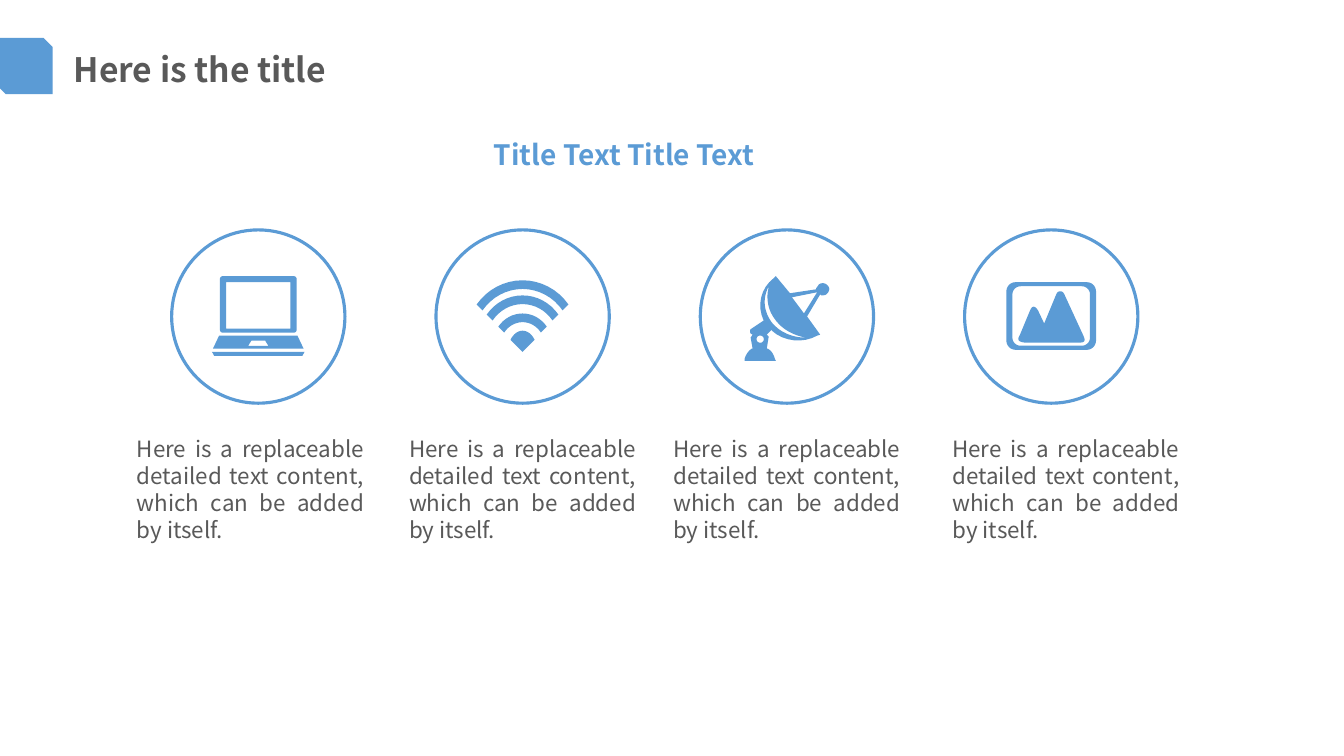
from dataclasses import dataclass

from pptx import Presentation
from pptx.dml.color import RGBColor
from pptx.enum.shapes import MSO_SHAPE as Preset
from pptx.enum.text import MSO_ANCHOR as Anchor, MSO_AUTO_SIZE as AutoSize, PP_ALIGN as Align
from pptx.util import Pt


@dataclass(frozen=True)
class Theme:
    blue: RGBColor = RGBColor(0x5B, 0x9B, 0xD5)
    grey: RGBColor = RGBColor(0x59, 0x59, 0x59)
    face: str = "Noto Sans CJK SC"
    title: int = 24
    subtitle: int = 20
    body: int = 16


theme = Theme()


def rounded(left, top, right, bottom, radius):
    """Outline of a rectangle with rounded corners."""
    k = radius * 0.45
    return [
        (left + radius, top), (right - radius, top),
        (right - k, top, right, top + k, right, top + radius),
        (right, bottom - radius),
        (right, bottom - k, right - k, bottom, right - radius, bottom),
        (left + radius, bottom),
        (left + k, bottom, left, bottom - k, left, bottom - radius),
        (left, top + radius),
        (left, top + k, left + k, top, left + radius, top),
    ]


def write(shape, text, size, color, bold=False, align=Align.LEFT, wrap=True):
    """Fill a shape with one formatted paragraph."""
    frame = shape.text_frame
    frame.text = text
    frame.word_wrap = wrap
    frame.auto_size = AutoSize.SHAPE_TO_FIT_TEXT
    frame.vertical_anchor = Anchor.TOP
    paragraph = frame.paragraphs[0]
    paragraph.alignment = align
    font = paragraph.font
    font.name, font.size, font.bold = theme.face, Pt(size), bold
    font.color.rgb = color


deck = Presentation()
deck.slide_width, deck.slide_height = Pt(960), Pt(540)
slide = deck.slides.add_slide(deck.slide_layouts[5])
shapes = slide.shapes

# Header
corner_tab = shapes.add_shape(Preset.SNIP_2_DIAG_RECTANGLE, Pt(-2.6), Pt(27), Pt(40.3), Pt(40.3))
corner_tab.shadow.inherit = False
corner_tab.fill.solid()
corner_tab.fill.fore_color.rgb = theme.blue
corner_tab.line.fill.background()

heading = shapes.title
heading.left, heading.top, heading.width, heading.height = Pt(45.4), Pt(31), Pt(200), Pt(36)
write(heading, "Here is the title", theme.title, theme.grey, bold=True, wrap=False)

subtitle = shapes.add_textbox(Pt(345.6), Pt(95), Pt(214.6), Pt(55.4))
write(subtitle, "Title Text Title Text", theme.subtitle, theme.blue, bold=True)

# Icon outlines, in points from the circle centre:
# a pair is a corner, six numbers are a curve (two controls and its end)
laptop = [
    [(28, 13.7), (-28, 13.7), (-32.4, 23), (32.4, 23)],
    [(-7.2, 20.9), (-5, 17.3), (5, 17.3), (7.2, 20.9)],
    rounded(-27.4, -28.8, 27.4, 11.5, 2),
    [(-23, -24.5), (23, -24.5), (23, 8.6), (-23, 8.6)],
    [(-33.1, 25.2), (33.1, 25.2), (31.5, 28.1), (-31.5, 28.1)],
]

wifi = []
for crest, half, end in [(-25.9, 32.8, -8.6), (-15.1, 25.6, -1.4), (-2.2, 17.3, 7.2), (10.1, 8.6, 16.6)]:
    shoulder = end - 0.62 * (end - crest)
    band = [
        (-half, end),
        (-0.77 * half, shoulder, -0.4 * half, crest, 0, crest),
        (0.4 * half, crest, 0.77 * half, shoulder, half, end),
    ]
    if half < 10:
        band.append((0, 25.2))
    else:
        inner, low, trough = half - 4.2, end + 4.2, crest + 6.2
        slope = low - 0.62 * (low - trough)
        band += [
            (inner, low),
            (0.77 * inner, slope, 0.4 * inner, trough, 0, trough),
            (-0.4 * inner, trough, -0.77 * inner, slope, -inner, low),
        ]
    wifi.append(band)

dish = [
    # Dish, feed and stand
    [(-7.9, -28.8), (2.2, -16.6), (20.9, -19.4), (20.9, -20.2),
     (21.6, -20.9, 22.3, -22.3, 23, -23), (25.2, -24.5, 28.1, -23.8, 29.5, -21.6),
     (31, -20.2, 30.2, -17.3, 28.1, -15.8), (27.4, -15.1, 25.9, -15.1, 24.5, -15.1),
     (23.8, -15.8), (14.4, 0), (23.8, 13), (21.6, 13.7),
     (11.5, 19.4, -2.2, 18, -10.8, 10.1), (-10.8, 9.4), (-14.4, 13), (-13, 14.4),
     (-14.4, 23), (-13.7, 23), (-10.8, 24.5, -9.4, 27.4, -8.6, 30.2),
     (-7.9, 31.7), (-30.2, 31.7), (-30.2, 30.2), (-29.5, 27.4, -27.4, 24.5, -25.2, 23),
     (-24.5, 23), (-25.9, 15.1), (-24.5, 13), (-25.9, 12.2),
     (-26.6, 10.8, -26.6, 9.4, -25.2, 8.6), (-16.6, 2.9),
     (-21.6, -7.9, -18.7, -20.2, -9.4, -27.4)],
    # Pivot, feed gap and rim
    rounded(-21.7, 13.6, -16.5, 18.8, 2.6),
    [(21.6, -17.3), (3.6, -13.7), (12.2, -2.2)],
    [(-13, -20.9), (-13.7, -20.2), (-17.3, -12.2, -16.6, -3.6, -10.8, 4.3),
     (-5, 11.5, 4.3, 15.1, 13, 15.1), (13.7, 15.1),
     (5, 13.7, -2.9, 9.4, -7.9, 2.9), (-13.7, -4.3, -15.1, -13, -13, -20.9)],
]

photo = [
    rounded(-32, -24.5, 32, 23.8, 6.5),
    rounded(-27.7, -21.6, 27.7, 20.9, 5.8),
    [(6.5, -18), (7.9, -18, 8.6, -17.3, 9.4, -15.8), (23, 13.7),
     (24.5, 17.3, 24.5, 18.7, 19.4, 18.7), (-18.7, 18.7),
     (-23.8, 18, -24.5, 16.6, -22.3, 13), (-15.1, -4.3),
     (-13.7, -7.9, -11.5, -7.9, -9.4, -4.3), (-5, 5), (3.6, -15.8),
     (4.3, -17.3, 5, -18, 6.5, -18)],
]

# Four columns: ring, icon and caption
caption = "Here is a replaceable detailed text content, which can be added by itself."
diameter, middle, steps = 123.8, 226.1, 8
columns = zip([laptop, wifi, dish, photo], [90.7, 285.1, 473.8, 673.2])
for index, (icon, caption_left) in enumerate(columns):
    centre = 184.5 + 188.8 * index
    ring = shapes.add_shape(Preset.OVAL, Pt(centre - diameter / 2), Pt(middle - diameter / 2),
                            Pt(diameter), Pt(diameter))
    ring.shadow.inherit = False
    ring.fill.background()
    ring.line.color.rgb = theme.blue
    ring.line.width = Pt(2.25)

    pen = None
    for (x, y), *segments in icon:
        if pen is None:
            pen = shapes.build_freeform(Pt(centre + x), Pt(middle + y))
        else:
            pen.move_to(Pt(centre + x), Pt(middle + y))
        vertices = []
        for segment in segments:
            if len(segment) == 2:
                x, y = segment
                vertices.append(segment)
                continue
            x1, y1, x2, y2, x3, y3 = segment
            for step in range(1, steps + 1):
                t = step / steps
                a, b, c, d = (1 - t) ** 3, 3 * t * (1 - t) ** 2, 3 * t * t * (1 - t), t ** 3
                vertices.append((a * x + b * x1 + c * x2 + d * x3, a * y + b * y1 + c * y2 + d * y3))
            x, y = x3, y3
        pen.add_line_segments([(Pt(centre + vx), Pt(middle + vy)) for vx, vy in vertices], close=True)
    symbol = pen.convert_to_shape()
    symbol.shadow.inherit = False
    symbol.fill.solid()
    symbol.fill.fore_color.rgb = theme.blue
    symbol.line.fill.background()

    note = shapes.add_textbox(Pt(caption_left), Pt(307.4), Pt(176.4), Pt(85))
    write(note, caption, theme.body, theme.grey, align=Align.JUSTIFY)

deck.save("out.pptx")
